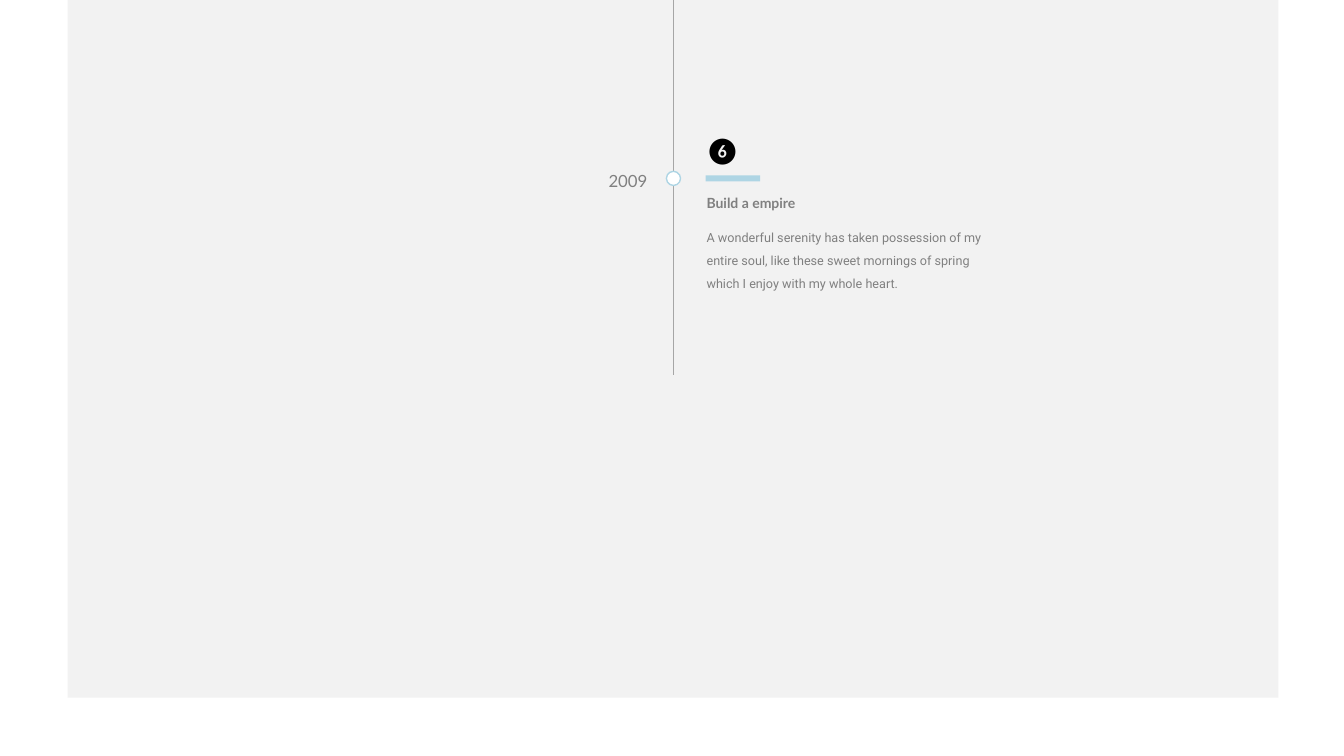
from lxml import etree
from pptx import Presentation
from pptx.dml.color import RGBColor
from pptx.enum.shapes import MSO_CONNECTOR, MSO_SHAPE
from pptx.enum.text import MSO_AUTO_SIZE, PP_ALIGN
from pptx.oxml.ns import qn
from pptx.util import Inches, Pt

WHITE = RGBColor(0xFF, 0xFF, 0xFF)
PANEL = RGBColor(0xF2, 0xF2, 0xF2)
AXIS = RGBColor(0xA6, 0xA6, 0xA6)
ACCENT = RGBColor(0xAE, 0xD5, 0xE4)
GRAY = RGBColor(0x80, 0x80, 0x80)
BLACK = RGBColor(0, 0, 0)


def add_block(slide, kind, left, top, width, height, fill, outline=None):
    block = slide.shapes.add_shape(
        kind, Inches(left), Inches(top), Inches(width), Inches(height))
    block.shadow.inherit = False
    block.fill.solid()
    block.fill.fore_color.rgb = fill
    if outline is None:
        block.line.fill.background()
    else:
        block.line.color.rgb = outline
        block.line.width = Pt(1)


def add_axis(slide, x, top, bottom):
    axis = slide.shapes.add_connector(
        MSO_CONNECTOR.STRAIGHT, Inches(x), Inches(top), Inches(x), Inches(bottom))
    axis.line.color.rgb = AXIS
    axis.line.width = Pt(1)
    etree.SubElement(axis._element.spPr, qn("a:effectLst"))


def add_label(slide, text, left, top, width, height, size, font="Lato",
              color=GRAY, bold=False, align=PP_ALIGN.LEFT, spacing=None, wrap=True):
    label = slide.shapes.add_textbox(
        Inches(left), Inches(top), Inches(width), Inches(height))
    frame = label.text_frame
    frame.word_wrap = wrap
    frame.auto_size = MSO_AUTO_SIZE.SHAPE_TO_FIT_TEXT
    paragraph = frame.paragraphs[0]
    paragraph.text = text
    paragraph.alignment = align
    paragraph.line_spacing = spacing
    paragraph.font.name = font
    paragraph.font.size = Pt(size)
    paragraph.font.bold = bold
    paragraph.font.color.rgb = color


def main():
    prs = Presentation()
    prs.slide_width, prs.slide_height = Inches(13.33), Inches(7.5)
    slide = prs.slides.add_slide(prs.slide_layouts[6])

    # Background panel
    add_block(slide, MSO_SHAPE.RECTANGLE, 0.67, 0, 12.01, 6.92, PANEL)

    # Timeline with its year marker
    add_axis(slide, 6.68, 0, 3.72)
    add_block(slide, MSO_SHAPE.OVAL, 6.61, 1.7, 0.14, 0.14, WHITE, ACCENT)
    add_label(slide, "2009", 5.67, 1.64, 0.85, 0.3, 12, align=PP_ALIGN.RIGHT)

    # Milestone: description, accent bar, title and number
    add_label(slide, "A wonderful serenity has taken possession of my entire soul, "
              "like these sweet mornings of spring which I enjoy with my whole heart.",
              6.91, 2.16, 2.93, 0.78, 9, font="Roboto", spacing=1.5)
    add_block(slide, MSO_SHAPE.RECTANGLE, 7, 1.74, 0.54, 0.06, ACCENT)
    add_label(slide, "Build a empire", 6.91, 1.88, 1.93, 0.27, 10, bold=True)
    add_label(slide, "❻", 6.93, 1.29, 0.49, 0.4, 18, color=BLACK, wrap=False)

    prs.save("out.pptx")


if __name__ == "__main__":
    main()
